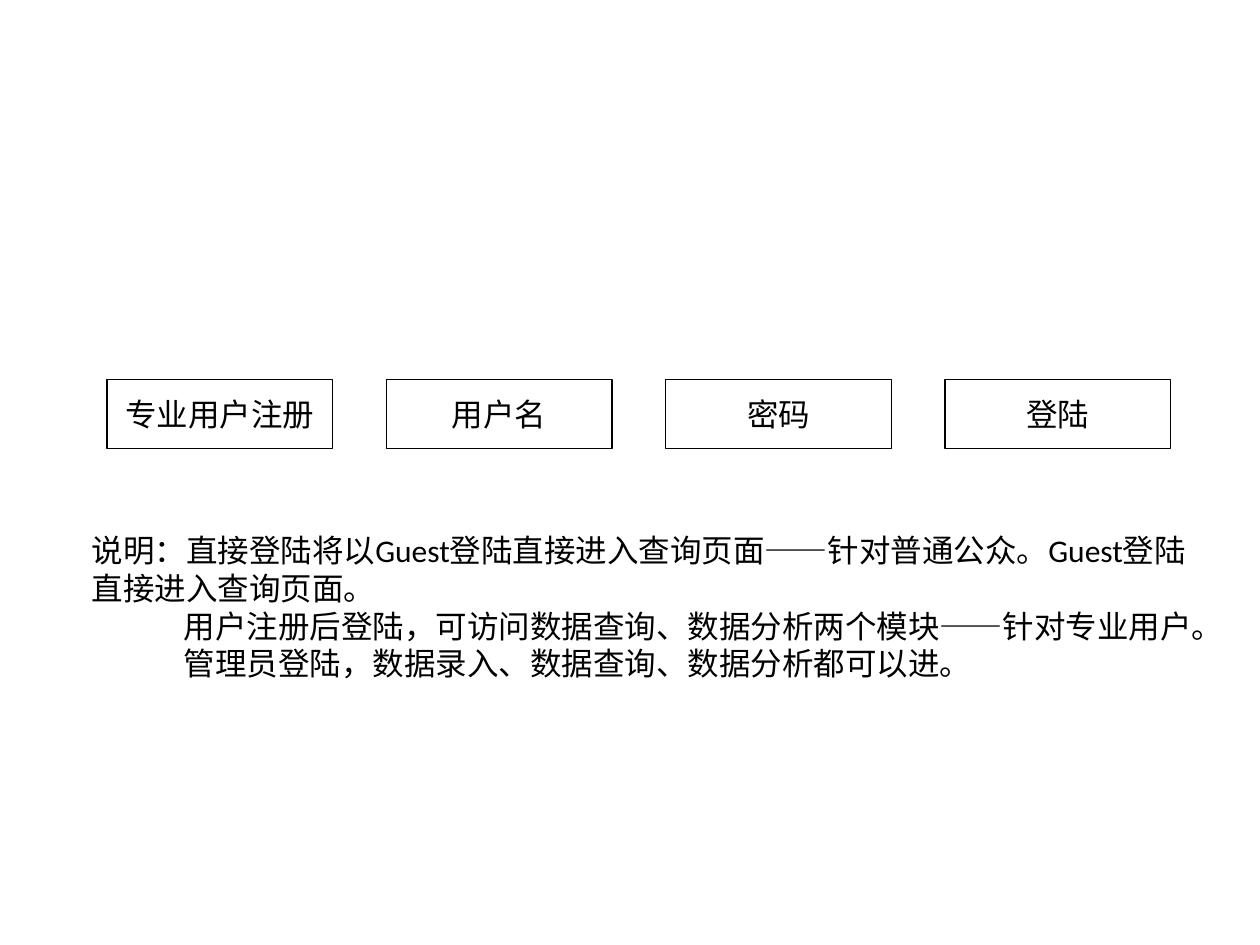
from lxml.etree import SubElement
from pptx import Presentation
from pptx.dml.color import RGBColor
from pptx.enum.shapes import MSO_SHAPE
from pptx.enum.text import MSO_ANCHOR, PP_ALIGN
from pptx.oxml.ns import qn
from pptx.util import Inches, Pt

COLORS = {"ink": "000000"}
FONT = {"name": "Calibri", "size": Pt(18)}


class LoginSlide:
    """Holds the slide and the style of its elements."""

    def __init__(self, prs):
        """Add a blank slide."""
        self.slide = prs.slides.add_slide(prs.slide_layouts[6])
        self.ink = RGBColor.from_string(COLORS["ink"])

    def fill_text(self, p, text, align):
        """Fill one paragraph with styled text."""
        p.alignment = align
        r = p.add_run()
        r.text = text
        for key, value in FONT.items():
            setattr(r.font, key, value)
        r.font.color.rgb = self.ink

    def box(self, label, left, top, width, height):
        """Draw an outlined box with a centred label."""
        sp = self.slide.shapes.add_shape(
            MSO_SHAPE.RECTANGLE, *map(Inches, (left, top, width, height)))
        sp.shadow.inherit = False
        sp.fill.background()
        sp.line.color.rgb = self.ink
        sp.line.width = Pt(0.75)
        tf = sp.text_frame
        tf.word_wrap = True
        tf.vertical_anchor = MSO_ANCHOR.MIDDLE
        self.fill_text(tf.paragraphs[0], label, PP_ALIGN.CENTER)

    def note(self, paragraphs, left, top, width, height):
        """Place a text box from (text, indent, tab stop) entries."""
        tf = self.slide.shapes.add_textbox(
            *map(Inches, (left, top, width, height))).text_frame
        tf.word_wrap = True
        tf.vertical_anchor = MSO_ANCHOR.MIDDLE
        for i, (text, indent, tab) in enumerate(paragraphs):
            p = tf.add_paragraph() if i else tf.paragraphs[0]
            self.fill_text(p, text, PP_ALIGN.LEFT)
            pPr = p._p.get_or_add_pPr()
            pPr.set("marL", str(Inches(indent)))
            pPr.set("indent", "0")
            if tab:
                tabs = SubElement(pPr, qn("a:tabLst"))
                SubElement(tabs, qn("a:tab"), pos=str(Inches(tab)), algn="l")


def main():
    """Build the login slide."""
    prs = Presentation()
    prs.slide_width, prs.slide_height = Inches(10), Inches(7.5)
    s = LoginSlide(prs)

    labels = ["专业用户注册", "用户名", "密码", "登陆"]
    first, last, width = 0.85, 7.5, 1.79
    step = (last - first) / (len(labels) - 1)
    for i, label in enumerate(labels):
        s.box(label, first + i * step, 3.01, width, 0.55)

    s.note([
        ("说明：直接登陆将以Guest登陆直接进入查询页面——针对普通公众。"
         "Guest登陆\t直接进入查询页面。", 0, 0.59),
        ("用户注册后登陆，可访问数据查询、数据分析两个模块——针对专业用户。", 0.73, None),
        ("管理员登陆，数据录入、数据查询、数据分析都可以进。", 0.73, None),
    ], 0.63, 4.15, 8.95, 1.33)
    prs.save("out.pptx")


main()
